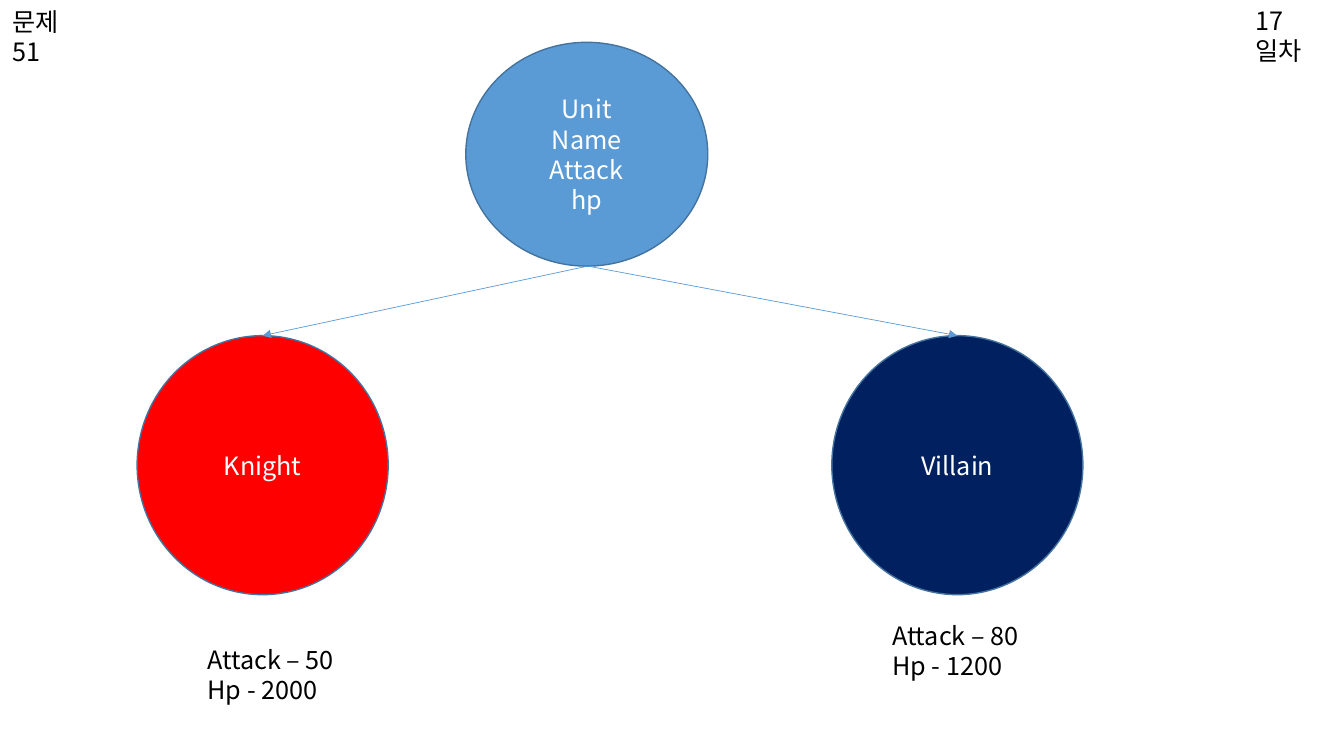
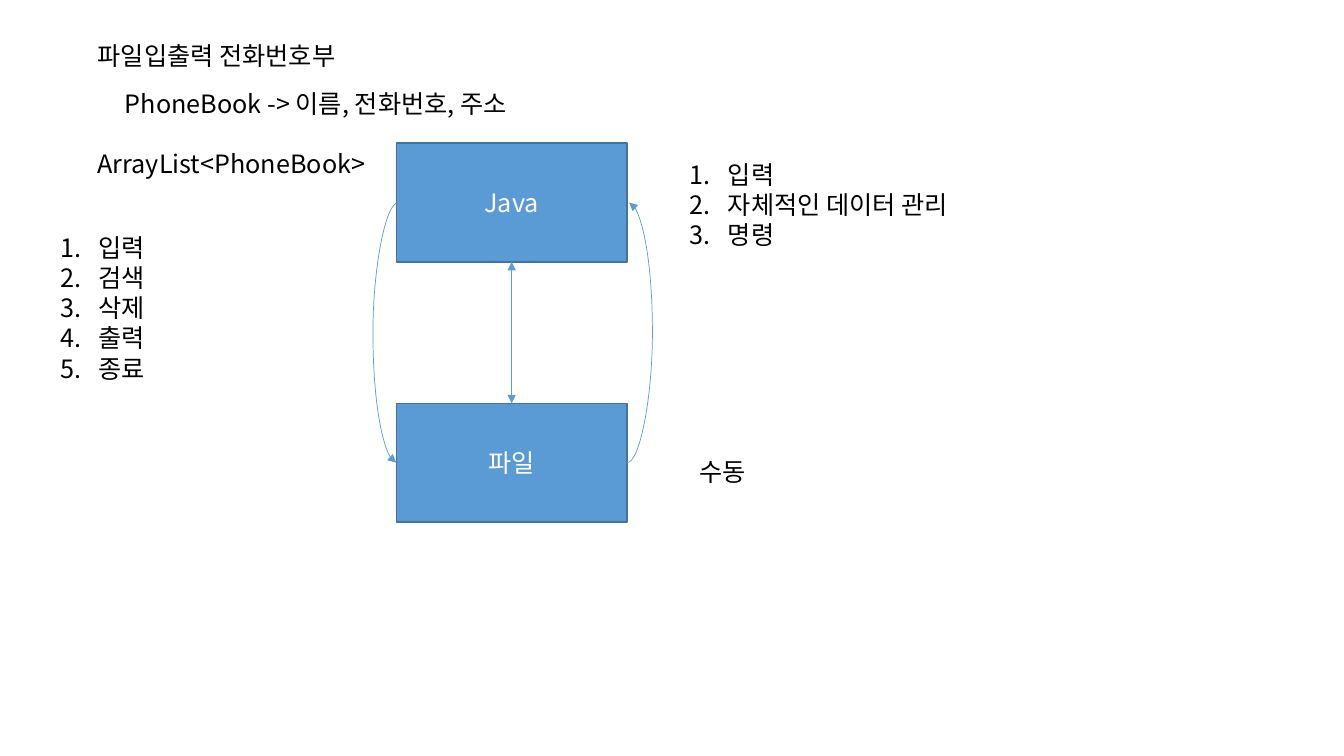
import pptx
import pptx.dml.color
import pptx.enum.shapes
import pptx.enum.text
import pptx.oxml
import pptx.oxml.ns
import pptx.util

Inches = pptx.util.Inches
Pt = pptx.util.Pt
RGBColor = pptx.dml.color.RGBColor
ALIGN = pptx.enum.text.PP_ALIGN
ANCHOR = pptx.enum.text.MSO_ANCHOR
SHAPE = pptx.enum.shapes.MSO_SHAPE
CONNECTOR = pptx.enum.shapes.MSO_CONNECTOR
qn = pptx.oxml.ns.qn

FONT = "Noto Sans CJK KR"
BLACK = RGBColor(0x00, 0x00, 0x00)
WHITE = RGBColor(0xFF, 0xFF, 0xFF)
BLUE = RGBColor(0x5B, 0x9B, 0xD5)
BLUE_EDGE = RGBColor(0x43, 0x73, 0x9E)
RED = RGBColor(0xFF, 0x00, 0x00)
NAVY = RGBColor(0x00, 0x20, 0x60)


def xml_child(parent, tag, **attributes):
    child = parent.makeelement(qn(tag), attributes)
    parent.append(child)
    return child


def write_text(frame, lines, color=BLACK, align=ALIGN.LEFT, anchor=ANCHOR.TOP,
               wrap=True, numbered=False, size=18, margin_right=0.1):
    frame.auto_size = pptx.enum.text.MSO_AUTO_SIZE.NONE
    frame.word_wrap = wrap
    frame.vertical_anchor = anchor
    frame.margin_right = Inches(margin_right)
    for index, line in enumerate(lines):
        paragraph = frame.add_paragraph() if index else frame.paragraphs[0]
        paragraph.alignment = align
        paragraph.space_before = Pt(0)
        run = paragraph.add_run()
        run.text = line
        run.font.size = Pt(size)
        run.font.color.rgb = color
        run.font.name = FONT
        xml_child(run._r.get_or_add_rPr(), "a:ea", typeface=FONT)
        if numbered:
            properties = paragraph._p.get_or_add_pPr()
            indent = Inches(0.38)
            properties.set("marL", str(indent))
            properties.set("indent", str(-indent))
            xml_child(properties, "a:buAutoNum", type="arabicPeriod")


def fill_placeholder(placeholder, box, lines, **text_format):
    (placeholder.left, placeholder.top,
     placeholder.width, placeholder.height) = map(Inches, box)
    write_text(placeholder.text_frame, lines, **text_format)


def add_label(slide, box, lines, **text_format):
    label = slide.shapes.add_textbox(*map(Inches, box))
    write_text(label.text_frame, lines, **text_format)


def add_node(slide, outline, box, lines, fill=BLUE):
    node = slide.shapes.add_shape(outline, *map(Inches, box))
    node.shadow.inherit = False
    node.fill.solid()
    node.fill.fore_color.rgb = fill
    node.line.color.rgb = BLUE_EDGE
    node.line.width = Pt(1)
    write_text(node.text_frame, lines, color=WHITE, align=ALIGN.CENTER,
               anchor=ANCHOR.MIDDLE)
    return node


def add_arrow(slide, start, end, both_ends=False, bulge=None):
    kind = CONNECTOR.CURVE if bulge else CONNECTOR.STRAIGHT
    arrow = slide.shapes.add_connector(kind, *map(Inches, (*start, *end)))
    arrow.line.color.rgb = BLUE
    arrow.line.width = Pt(0.5)
    line = arrow.line._get_or_add_ln()
    if both_ends:
        xml_child(line, "a:headEnd", type="triangle")
    xml_child(line, "a:tailEnd", type="triangle")
    xml_child(arrow._element.spPr, "a:effectLst")
    if bulge:
        ratio = round(bulge / abs(end[0] - start[0]) * 100000)
        adjustments = arrow._element.spPr.find(qn("a:prstGeom")).get_or_add_avLst()
        xml_child(adjustments, "a:gd", name="adj1", fmla=f"val {ratio}")
    return arrow


def add_subclass(slide, box, parent_bottom, name, fill, stats, stats_at):
    left, top, width, _ = box
    add_node(slide, SHAPE.OVAL, box, [name], fill)
    add_arrow(slide, parent_bottom, (left + width / 2, top))
    add_label(slide, (*stats_at, 1.5, 0.71), stats, wrap=False)


def build_unit_slide(deck):
    slide = deck.slides.add_slide(deck.slide_layouts[5])
    fill_placeholder(slide.shapes.title, (0.02, 0.01, 0.98, 0.4), ["문제51"],
                     margin_right=0.35)
    add_label(slide, (12.35, 0, 0.98, 0.4), ["17일차"], margin_right=0.35)
    add_node(slide, SHAPE.OVAL, (4.62, 0.42, 2.4, 2.22),
             ["Unit", "Name", "Attack", "hp"])
    unit_bottom = (5.83, 2.64)
    add_subclass(slide, (1.36, 3.33, 2.49, 2.57), unit_bottom, "Knight", RED,
                 ["Attack – 50", "Hp - 2000"], (1.96, 6.34))
    add_subclass(slide, (8.25, 3.33, 2.49, 2.57), unit_bottom, "Villain", NAVY,
                 ["Attack – 80", "Hp - 1200"], (8.75, 6.1))


def add_file_exchange(slide, left, top, width, height, gap):
    file_top = top + height + gap
    java = add_node(slide, SHAPE.RECTANGLE, (left, top, width, height), ["Java"])
    file = add_node(slide, SHAPE.RECTANGLE, (left, file_top, width, height), ["파일"])
    center, right = left + width / 2, left + width
    java_middle, file_middle = top + height / 2, file_top + height / 2
    link = add_arrow(slide, (center, top + height), (center, file_top), both_ends=True)
    link.begin_connect(java, 2)
    link.end_connect(file, 0)
    add_arrow(slide, (left + 0.02, java_middle), (left, file_middle), bulge=0.25)
    add_arrow(slide, (right, file_middle), (right + 0.02, java_middle), bulge=0.25)


def build_phone_book_slide(deck):
    slide = deck.slides.add_slide(deck.slide_layouts[3])
    fill_placeholder(slide.shapes.title, (0.87, 0.35, 11.59, 0.4),
                     ["파일입출력 전화번호부"])
    fill_placeholder(slide.placeholders[1], (0.5, 2.25, 3.06, 1.62),
                     ["입력", "검색", "삭제", "출력", "종료"], numbered=True)
    fill_placeholder(slide.placeholders[2], (6.74, 1.53, 3.03, 1.01),
                     ["입력", "자체적인 데이터 관리", "명령"],
                     numbered=True, wrap=False)
    add_file_exchange(slide, 3.93, 1.42, 2.29, 1.18, 1.4)
    add_label(slide, (6.84, 4.48, 0.71, 0.4), ["수동"], wrap=False)
    add_label(slide, (0.87, 1.42, 3.04, 0.4), ["ArrayList<PhoneBook>"])
    add_label(slide, (1.14, 0.83, 4.35, 0.4), ["PhoneBook -> 이름, 전화번호, 주소"])


def main():
    deck = pptx.Presentation()
    deck.slide_width = Inches(13.33)
    deck.slide_height = Inches(7.5)
    build_unit_slide(deck)
    build_phone_book_slide(deck)
    deck.save("out.pptx")


if __name__ == "__main__":
    main()
